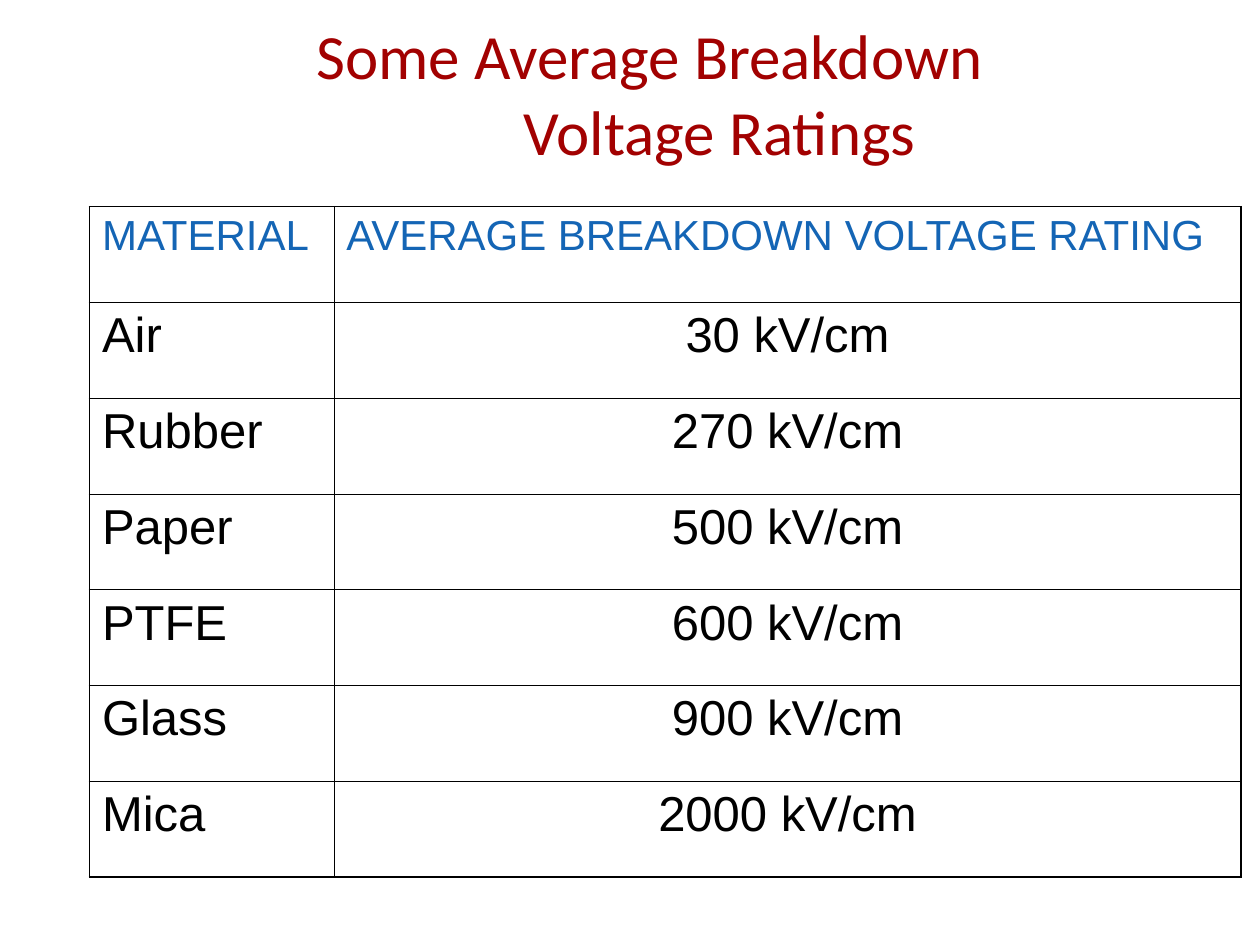
from typing import NamedTuple

from lxml.etree import SubElement
from pptx import Presentation
from pptx.dml.color import RGBColor
from pptx.enum.text import MSO_ANCHOR, MSO_AUTO_SIZE, PP_ALIGN
from pptx.oxml.ns import qn
from pptx.util import Inches, Pt

TITLE_RED, HEADER_BLUE, BLACK = "A20101", "1465B5", "000000"
OUTER_LINE, INNER_LINE = 1.08, 0.45
LEFT = 0.71
COLUMN_WIDTHS = (1.94, 7.2)
ROW_HEIGHT = 0.76
TABLE_TOP = 1.64


class Rating(NamedTuple):
    material: str
    voltage: str


class CellStyle(NamedTuple):
    size: int
    color: str
    space_before: int


HEADER = Rating("MATERIAL", "AVERAGE BREAKDOWN VOLTAGE RATING")
RATINGS = [
    Rating("Air", "30 kV/cm"),
    Rating("Rubber", "270 kV/cm"),
    Rating("Paper", "500 kV/cm"),
    Rating("PTFE", "600 kV/cm"),
    Rating("Glass", "900 kV/cm"),
    Rating("Mica", "2000 kV/cm"),
]
HEADER_STYLE = CellStyle(24, HEADER_BLUE, 6)
BODY_STYLE = CellStyle(28, BLACK, 7)


def format_runs(paragraph, font_name: str, size: int, color: str) -> None:
    for run in paragraph.runs:
        run.font.name = font_name
        run.font.size = Pt(size)
        run.font.color.rgb = RGBColor.from_string(color)


def add_inch_tabs(paragraph, count: int = 8) -> None:
    """Set left tab stops one inch apart, starting at zero."""
    tab_list = SubElement(paragraph._p.get_or_add_pPr(), qn("a:tabLst"))
    for inch in range(count):
        SubElement(tab_list, qn("a:tab"), pos=str(Inches(inch)), algn="l")


def set_borders(cell, row: int, column: int, rows: int, columns: int) -> None:
    """Draw a heavier line on the sides that lie on the table's outline."""
    on_outline = {
        "a:lnL": column == 0,
        "a:lnR": column == columns - 1,
        "a:lnT": row == 0,
        "a:lnB": row == rows - 1,
    }
    properties = cell._tc.get_or_add_tcPr()
    for side, outer in on_outline.items():
        width = Pt(OUTER_LINE if outer else INNER_LINE)
        line = SubElement(properties, qn(side), w=str(width))
        SubElement(SubElement(line, qn("a:solidFill")), qn("a:srgbClr"), val=BLACK)


def add_title(slide, text: str) -> None:
    title = slide.shapes.title
    title.left, title.top = Inches(LEFT), Inches(0.11)
    title.width, title.height = Inches(9), Inches(1.25)
    frame = title.text_frame
    frame.text = text
    frame.word_wrap = True
    frame.auto_size = MSO_AUTO_SIZE.NONE
    frame.vertical_anchor = MSO_ANCHOR.MIDDLE
    heading = frame.paragraphs[0]
    heading.alignment = PP_ALIGN.CENTER
    add_inch_tabs(heading)
    format_runs(heading, "Calibri", 36, TITLE_RED)


def add_ratings_table(slide, entries: list[Rating]) -> None:
    rows, columns = len(entries), len(COLUMN_WIDTHS)
    table = slide.shapes.add_table(
        rows, columns, Inches(LEFT), Inches(TABLE_TOP),
        Inches(sum(COLUMN_WIDTHS)), Inches(ROW_HEIGHT * rows),
    ).table
    for column, width in zip(table.columns, COLUMN_WIDTHS):
        column.width = Inches(width)
    for row, entry in enumerate(entries):
        style = BODY_STYLE if row else HEADER_STYLE
        for column, text in enumerate(entry):
            cell = table.cell(row, column)
            set_borders(cell, row, column, rows, columns)
            cell.fill.background()
            cell.text_frame.text = text
            paragraph = cell.text_frame.paragraphs[0]
            centred = row > 0 and column > 0
            paragraph.alignment = PP_ALIGN.CENTER if centred else PP_ALIGN.LEFT
            paragraph.space_before = Pt(style.space_before)
            format_runs(paragraph, "Arial", style.size, style.color)
            for run in paragraph.runs:
                run.font.bold = False


def main() -> None:
    deck = Presentation()
    deck.slide_width, deck.slide_height = Inches(10), Inches(7.5)
    slide = deck.slides.add_slide(deck.slide_layouts[5])
    add_title(slide, "Some Average Breakdown \v\tVoltage Ratings")
    add_ratings_table(slide, [HEADER, *RATINGS])
    deck.save("out.pptx")


if __name__ == "__main__":
    main()
